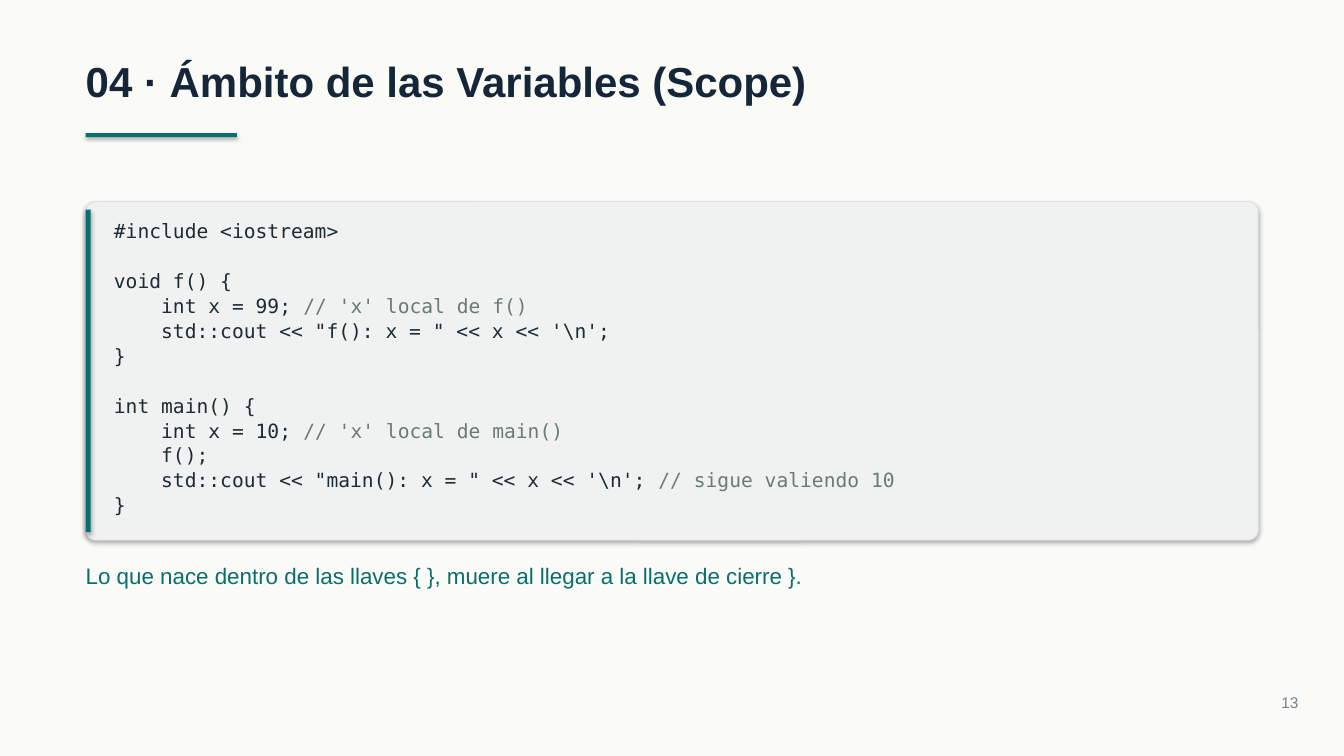
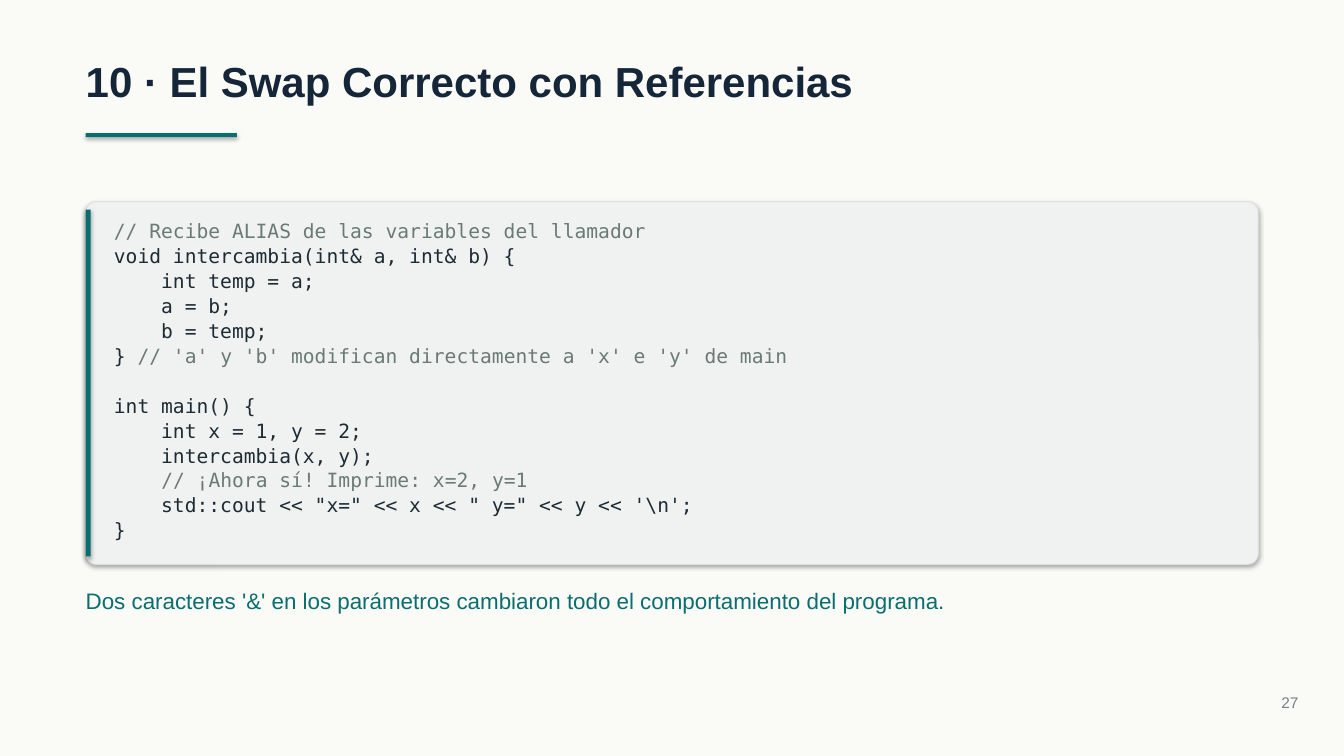
from dataclasses import dataclass

from pptx import Presentation
from pptx.dml.color import RGBColor
from pptx.enum import shapes, text
from pptx.util import Inches, Pt


@dataclass(frozen=True)
class Theme:
    paper: str = "FAFAF7"
    ink: str = "142638"
    teal: str = "0B6E6E"
    panel: str = "F0F2F1"
    edge: str = "DDE2E0"
    code: str = "1E2B33"
    remark: str = "6B7A74"
    grey: str = "74828C"
    sans: str = "Arial"
    mono: str = "DejaVu Sans Mono"
    head: int = 30
    note: int = 16
    small: int = 14
    foot: int = 11


class Deck:
    """Builds code slides in one shared style."""

    left, wide = 0.85, 11.63

    def __init__(self, theme):
        self.theme = theme
        self.prs = Presentation()
        self.prs.slide_width, self.prs.slide_height = Inches(13.33), Inches(7.5)
        self.fill(self.prs.slide_master.background, theme.paper)
        self.slide = None

    def fill(self, part, color):
        part.fill.solid()
        part.fill.fore_color.rgb = RGBColor.from_string(color)

    def font(self, para, size, color, name=None, bold=False):
        font = para.font
        font.name, font.size, font.bold = name or self.theme.sans, Pt(size), bold
        font.color.rgb = RGBColor.from_string(color)

    def frame(self, shape):
        frame = shape.text_frame
        frame.margin_left = frame.margin_right = 0
        frame.margin_top = frame.margin_bottom = 0
        frame.word_wrap = True
        frame.auto_size = text.MSO_AUTO_SIZE.NONE
        frame.vertical_anchor = text.MSO_ANCHOR.TOP
        return frame

    def box(self, x, y, w, h):
        return self.frame(self.slide.shapes.add_textbox(
            Inches(x), Inches(y), Inches(w), Inches(h)))

    def label(self, words, x, y, w, h, size, color, align=text.PP_ALIGN.LEFT):
        para = self.box(x, y, w, h).paragraphs[0]
        para.text, para.alignment = words, align
        self.font(para, size, color)

    def block(self, kind, x, y, w, h, color, edge=None):
        shape = self.slide.shapes.add_shape(
            kind, Inches(x), Inches(y), Inches(w), Inches(h))
        self.fill(shape, color)
        if edge:
            shape.line.color.rgb = RGBColor.from_string(edge)
            shape.line.width = Pt(0.75)
        else:
            shape.line.fill.background()
        return shape

    def bar(self, x, y, w, h):
        self.block(shapes.MSO_SHAPE.RECTANGLE, x, y, w, h, self.theme.teal)

    def title(self, words):
        shape = self.slide.shapes.title
        shape.left, shape.top = Inches(self.left), Inches(0.55)
        shape.width, shape.height = Inches(self.wide), Inches(0.5)
        para = self.frame(shape).paragraphs[0]
        para.text, para.alignment = words, text.PP_ALIGN.LEFT
        self.font(para, self.theme.head, self.theme.ink, bold=True)
        self.bar(self.left, 1.32, 1.5, 0.04)

    def code(self, source, top=2):
        theme = self.theme
        lines = source.strip("\n").split("\n")
        tall = 0.24 * len(lines) + 0.48
        panel = self.block(shapes.MSO_SHAPE.ROUNDED_RECTANGLE, self.left, top,
                           self.wide, tall, theme.panel, theme.edge)
        panel.adjustments[0] = 0.03
        self.bar(self.left, top + 0.08, 0.05, tall - 0.16)
        frame = self.box(self.left + 0.28, top + 0.16, self.wide - 0.45, tall - 0.39)
        for i, line in enumerate(lines):
            para = frame.add_paragraph() if i else frame.paragraphs[0]
            para.line_spacing = 1.06
            self.font(para, theme.small, theme.code, theme.mono)
            start, mark, rest = line.partition("//")
            if start or not mark:
                para.add_run().text = start or " "
            if mark:
                run = para.add_run()
                run.text = mark + rest
                run.font.color.rgb = RGBColor.from_string(theme.remark)
        return top + tall

    def page(self, title, source, note, number):
        theme = self.theme
        self.slide = self.prs.slides.add_slide(self.prs.slide_layouts[5])
        self.title(title)
        end = self.code(source)
        self.label(note, self.left, end + 0.22, self.wide, 0.27, theme.note, theme.teal)
        self.label(number, 11.98, 6.88, 0.9, 0.18, theme.foot, theme.grey,
                   text.PP_ALIGN.RIGHT)


SCOPE = r"""
#include <iostream>

void f() {
    int x = 99; // 'x' local de f()
    std::cout << "f(): x = " << x << '\n';
}

int main() {
    int x = 10; // 'x' local de main()
    f();
    std::cout << "main(): x = " << x << '\n'; // sigue valiendo 10
}
"""

SWAP = r"""
// Recibe ALIAS de las variables del llamador
void intercambia(int& a, int& b) {
    int temp = a;
    a = b;
    b = temp;
} // 'a' y 'b' modifican directamente a 'x' e 'y' de main

int main() {
    int x = 1, y = 2;
    intercambia(x, y);
    // ¡Ahora sí! Imprime: x=2, y=1
    std::cout << "x=" << x << " y=" << y << '\n';
}
"""


def main():
    deck = Deck(Theme())
    deck.page("04 · Ámbito de las Variables (Scope)", SCOPE,
              "Lo que nace dentro de las llaves { }, muere al llegar a la llave de cierre }.",
              "13")
    deck.page("10 · El Swap Correcto con Referencias", SWAP,
              "Dos caracteres '&' en los parámetros cambiaron todo el comportamiento del programa.",
              "27")
    deck.prs.save("out.pptx")


if __name__ == "__main__":
    main()
